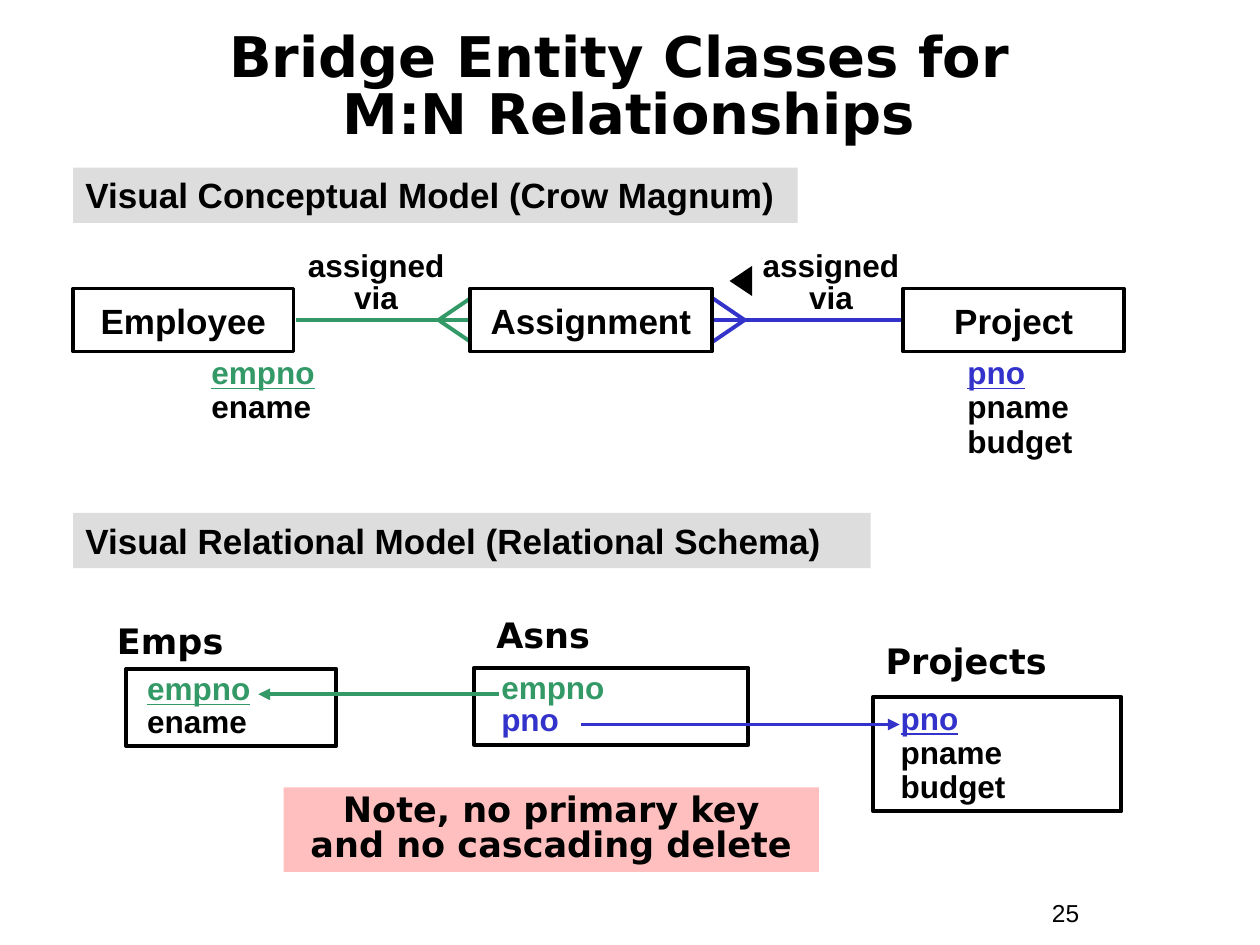
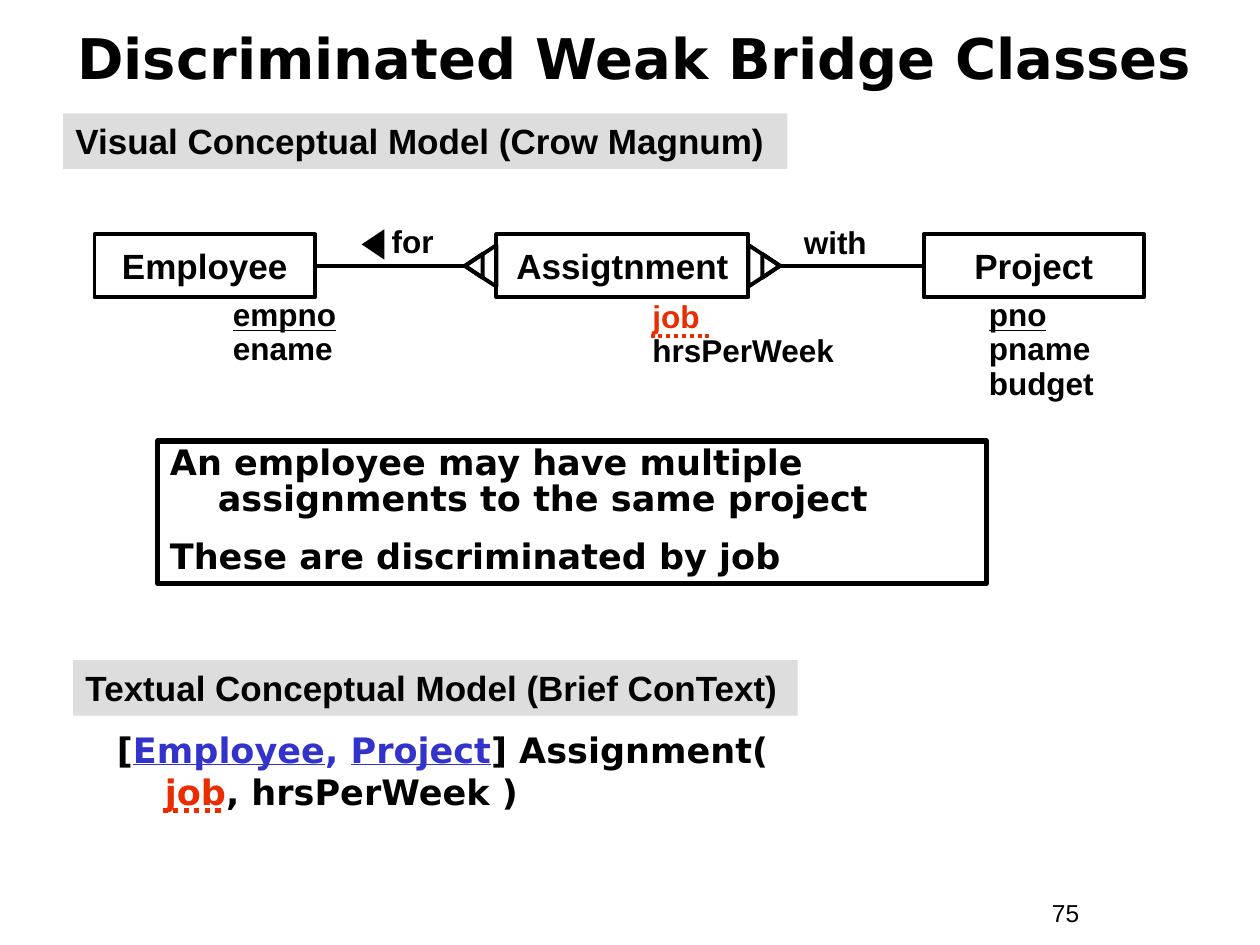
from lxml import etree
from pptx import Presentation
from pptx.dml.color import RGBColor
from pptx.enum import dml, shapes, text
from pptx.oxml.ns import qn
from pptx.util import Inches, Pt

BLACK, GREEN, BLUE, RED = "000000", "339966", "3333CC", "EA2D00"
GRAY, PINK = "DDDDDD", "FFBFBF"
SANS, HEAD = "Arial", "DejaVu Sans"
CENTER, MIDDLE = text.PP_ALIGN.CENTER, text.MSO_ANCHOR.MIDDLE
RECT = shapes.MSO_SHAPE.RECTANGLE
TRIANGLE = shapes.MSO_SHAPE.ISOSCELES_TRIANGLE
ENTITY_H = 0.5


def rgb(value):
    """Turn a hex string into a colour."""
    return RGBColor.from_string(value)


def add_run(p, content, size, font, color, bold, underline):
    """Append formatted text to a paragraph, breaking lines at newlines."""
    for i, line in enumerate(content.split("\n")):
        if i:
            p.add_line_break()
        if line:
            r = p.add_run()
            r.text = line
            r.font.size, r.font.name = Pt(size), font
            r.font.bold, r.font.underline = bold, underline
            r.font.color.rgb = rgb(color)


def write(sp, paragraphs, size=20, font=SANS, color=BLACK, bold=True,
          underline=False, align=text.PP_ALIGN.LEFT, anchor=text.MSO_ANCHOR.TOP,
          wrap=True, spacing=1.0, before=0, indent=0, hanging=0):
    """Fill a shape with paragraphs of (text, overrides) runs."""
    tf = sp.text_frame
    tf.word_wrap, tf.vertical_anchor = wrap, anchor
    base = dict(size=size, font=font, color=color, bold=bold, underline=underline)
    for i, runs in enumerate(paragraphs):
        p = tf.add_paragraph() if i else tf.paragraphs[0]
        p.alignment, p.line_spacing = align, spacing
        p.space_before = Pt(before if i else 0)
        pPr = p._p.get_or_add_pPr()
        pPr.set("marL", str(Inches(indent + hanging)))
        pPr.set("indent", str(-Inches(hanging)))
        for content, changes in ([(runs, {})] if isinstance(runs, str) else runs):
            add_run(p, content, **{**base, **changes})


def textbox(s, x, y, w, h, paragraphs, **fmt):
    """Add a plain text box."""
    sp = s.shapes.add_textbox(Inches(x), Inches(y), Inches(w), Inches(h))
    write(sp, paragraphs, **fmt)


def shape(s, kind, x, y, w, h, fill=None, line=None, width=2.25, rotation=0):
    """Add a preset shape with an optional fill and outline."""
    sp = s.shapes.add_shape(kind, Inches(x), Inches(y), Inches(w), Inches(h))
    sp.shadow.inherit = False
    sp.rotation = rotation
    if fill:
        sp.fill.solid()
        sp.fill.fore_color.rgb = rgb(fill)
    else:
        sp.fill.background()
    if line:
        sp.line.color.rgb, sp.line.width = rgb(line), Pt(width)
    else:
        sp.line.fill.background()
    return sp


def connect(s, x1, y1, x2, y2, color=BLACK, width=2.25, arrow=False, dotted=False):
    """Draw a straight line, optionally dotted or with an arrowhead at its end."""
    c = s.shapes.add_connector(shapes.MSO_CONNECTOR.STRAIGHT,
                               Inches(x1), Inches(y1), Inches(x2), Inches(y2))
    c.line.color.rgb, c.line.width = rgb(color), Pt(width)
    if dotted:
        c.line.dash_style = dml.MSO_LINE.ROUND_DOT
    if arrow:
        etree.SubElement(c.line._get_or_add_ln(), qn("a:tailEnd"), type="triangle")
    etree.SubElement(c._element.spPr, qn("a:effectLst"))


def new_slide(prs, title, number, box, spacing):
    """Add a slide with its title and page number."""
    s = prs.slides.add_slide(prs.slide_layouts[6])
    textbox(s, *box, [title], size=32, font=HEAD, align=CENTER, anchor=MIDDLE,
            spacing=spacing)
    textbox(s, 8.25, 7.08, 0.92, 0.34, [str(number)], size=14, bold=False)
    return s


def band(s, x, y, content, w=5.75):
    """Add a gray section heading."""
    write(shape(s, RECT, x, y, w, 0.44, fill=GRAY), [content])


def entity(s, x, y, name, w=1.75):
    """Add an entity class box."""
    sp = shape(s, RECT, x, y, w, ENTITY_H, line=BLACK)
    write(sp, [name], align=CENTER, anchor=MIDDLE, wrap=False)


def attribute_lines(key, others, **key_format):
    """Build paragraphs with the first attribute set apart."""
    return [[(key, key_format)], *others]


def attributes(s, x, y, key, *others, **key_format):
    """List the attributes below an entity class."""
    lines = attribute_lines(key, others, **key_format)
    textbox(s, x, y, 1.7, 0.3 * len(lines), lines, size=18, spacing=0.9)


def relation(s, x, y, w, h, lines, spacing=0.85, indent=0.12):
    """Add a relational table box listing its columns."""
    write(shape(s, RECT, x, y, w, h, line=BLACK), lines, size=18,
          spacing=spacing, indent=indent)


def label(s, x, y, w, content, spacing=1.0):
    """Add a relationship label."""
    textbox(s, x, y, w, 0.4, [content], size=18, align=CENTER, spacing=spacing)


def triangle(s, cx, cy, base, height, rotation, **look):
    """Add a rotated triangle around a centre."""
    shape(s, TRIANGLE, cx - base / 2, cy - height / 2, base, height,
          rotation=rotation, **look)


def crow_foot(s, start, tip, edge, y, color):
    """Draw a relationship line that ends in a crow's foot."""
    connect(s, start, y, edge, y, color)
    for dy in (-0.17, 0.17):
        connect(s, tip, y, edge, y + dy, color)


def weak_foot(s, start, tip, y, direction):
    """Draw a relationship line that ends in a double triangle."""
    connect(s, start, y, tip, y)
    for base, height in ((0.33, 0.25), (0.19, 0.14)):
        triangle(s, tip - direction * height / 2, y, base, height,
                 90 * direction, line=BLACK)


def bridge_slide(prs):
    """Build the slide on bridge entity classes."""
    s = new_slide(prs, "Bridge Entity Classes for \nM:N Relationships", 25,
                  (0.33, 0.33, 9.33, 0.75), 0.85)
    band(s, 0.58, 1.33, "Visual Conceptual Model (Crow Magnum)")
    band(s, 0.58, 4.07, "Visual Relational Model (Relational Schema)", 6.33)

    top = 2.29
    middle = top + ENTITY_H / 2
    crow_foot(s, 2.35, 3.48, 3.73, middle, GREEN)
    crow_foot(s, 7.15, 5.91, 5.66, middle, BLUE)
    entity(s, 0.58, top, "Employee")
    entity(s, 3.73, top, "Assignment", 1.92)
    entity(s, 7.17, top, "Project")
    for x in (2.32, 5.93):
        label(s, x, 1.95, 1.33, "assigned via", 0.85)
    triangle(s, 5.88, 2.23, 0.24, 0.18, 270, fill=BLACK)
    attributes(s, 1.58, 2.79, "empno", "ename", color=GREEN, underline=True)
    attributes(s, 7.58, 2.79, "pno", "pname", "budget", color=BLUE, underline=True)

    for x, y, name in ((0.83, 4.87, "Emps"), (3.84, 4.82, "Asns"),
                       (6.93, 5.03, "Projects")):
        textbox(s, x, y, 2.15, 0.44, [name], font=HEAD)
    relation(s, 1, 5.31, 1.67, 0.61, indent=0.07,
             lines=attribute_lines("empno", ["ename"], color=GREEN, underline=True))
    relation(s, 3.76, 5.3, 2.18, 0.61,
             [[("empno", {"color": GREEN})], [("pno", {"color": BLUE})]])
    relation(s, 6.93, 5.53, 1.97, 0.91, spacing=0.9,
             lines=attribute_lines("pno", ["pname", "budget"], color=BLUE,
                                   underline=True))
    connect(s, 3.96, 5.51, 2.05, 5.51, GREEN, arrow=True)
    connect(s, 4.61, 5.75, 7.14, 5.75, BLUE, arrow=True)
    write(shape(s, RECT, 2.25, 6.25, 4.25, 0.67, fill=PINK),
          ["Note, no primary key\nand no cascading delete"],
          font=HEAD, align=CENTER, spacing=0.85)


def weak_bridge_slide(prs):
    """Build the slide on discriminated weak bridge classes."""
    s = new_slide(prs, "Discriminated Weak Bridge Classes", 75,
                  (0.33, 0.17, 9.42, 0.67), 0.8)
    band(s, 0.5, 0.9, "Visual Conceptual Model (Crow Magnum)")
    band(s, 0.58, 5.24, "Textual Conceptual Model (Brief ConText)")

    top = 1.86
    middle = top + ENTITY_H / 2
    entity(s, 0.75, top, "Employee")
    entity(s, 3.94, top, "Assigtnment", 2)
    entity(s, 7.33, top, "Project")
    weak_foot(s, 2.52, 3.69, middle, -1)
    weak_foot(s, 7.32, 6.19, middle, 1)
    label(s, 2.69, 1.71, 1.17, "for")
    label(s, 5.88, 1.72, 1.5, "with")
    triangle(s, 2.96, 1.94, 0.24, 0.18, 270, fill=BLACK)
    attributes(s, 1.75, 2.33, "empno", "ename", underline=True)
    attributes(s, 5.08, 2.34, "job", "hrsPerWeek", color=RED)
    attributes(s, 7.75, 2.33, "pno", "pname", "budget", underline=True)
    connect(s, 5.63, 2.67, 5.15, 2.67, RED, dotted=True)

    write(shape(s, RECT, 1.25, 3.5, 6.58, 1.13, line=BLACK, width=3),
          ["An employee may have multiple assignments to the same project",
           "These are discriminated by job"],
          font=HEAD, spacing=0.85, before=12.5, hanging=0.38)
    key = {"color": BLUE, "underline": True}
    textbox(s, 0.83, 5.73, 7.83, 1.1,
            [[("[", {}), ("Employee", key), (", ", {"color": BLUE}),
              ("Project", key), ("] Assignment(\n", {}),
              ("job", {"color": RED}), (", hrsPerWeek )", {})]],
            font=HEAD, hanging=0.38)
    connect(s, 1.75, 6.43, 1.29, 6.43, RED, width=3, dotted=True)


def main():
    """Build and save the presentation."""
    prs = Presentation()
    prs.slide_width, prs.slide_height = Inches(10), Inches(7.5)
    bridge_slide(prs)
    weak_bridge_slide(prs)
    prs.save("out.pptx")


if __name__ == "__main__":
    main()
